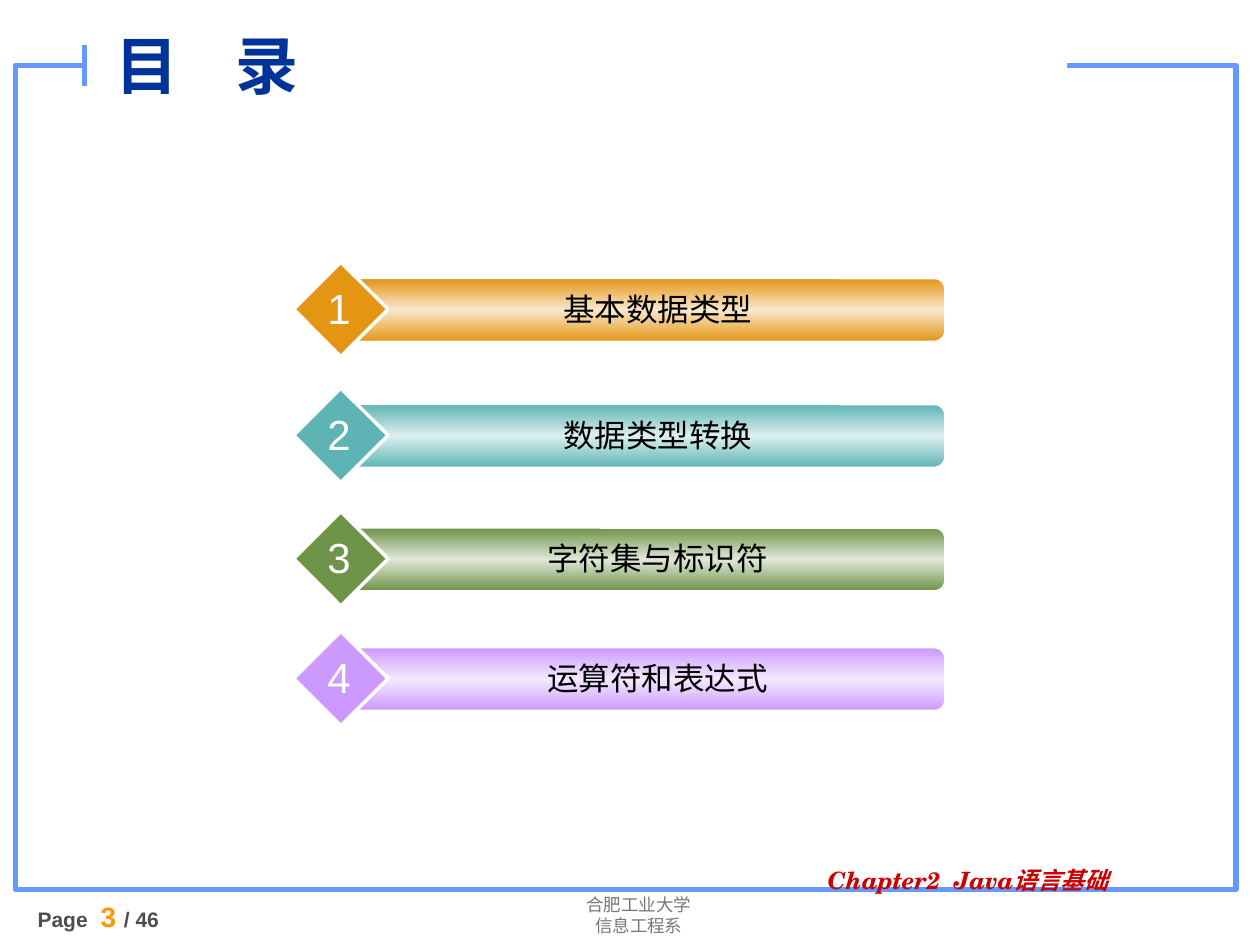
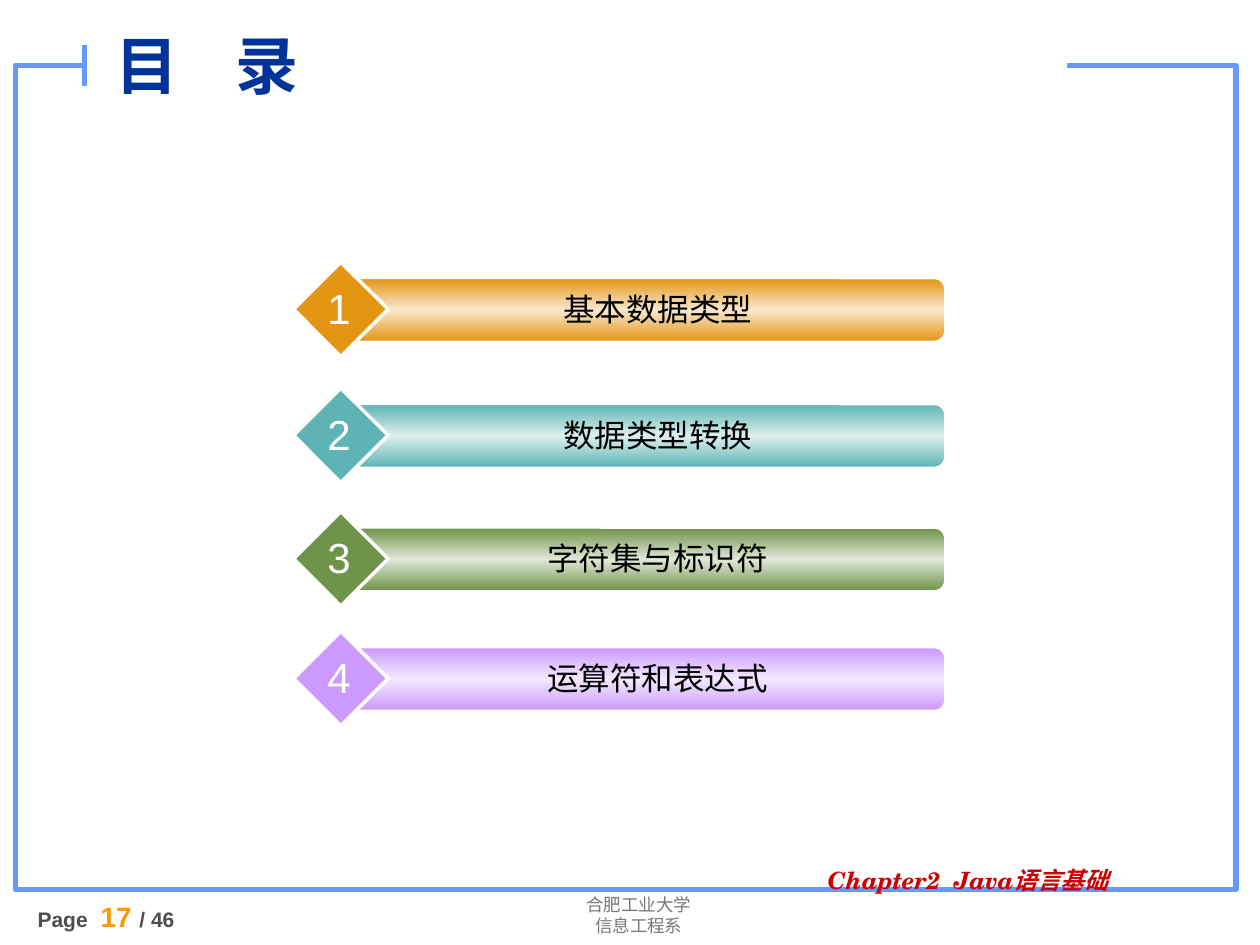
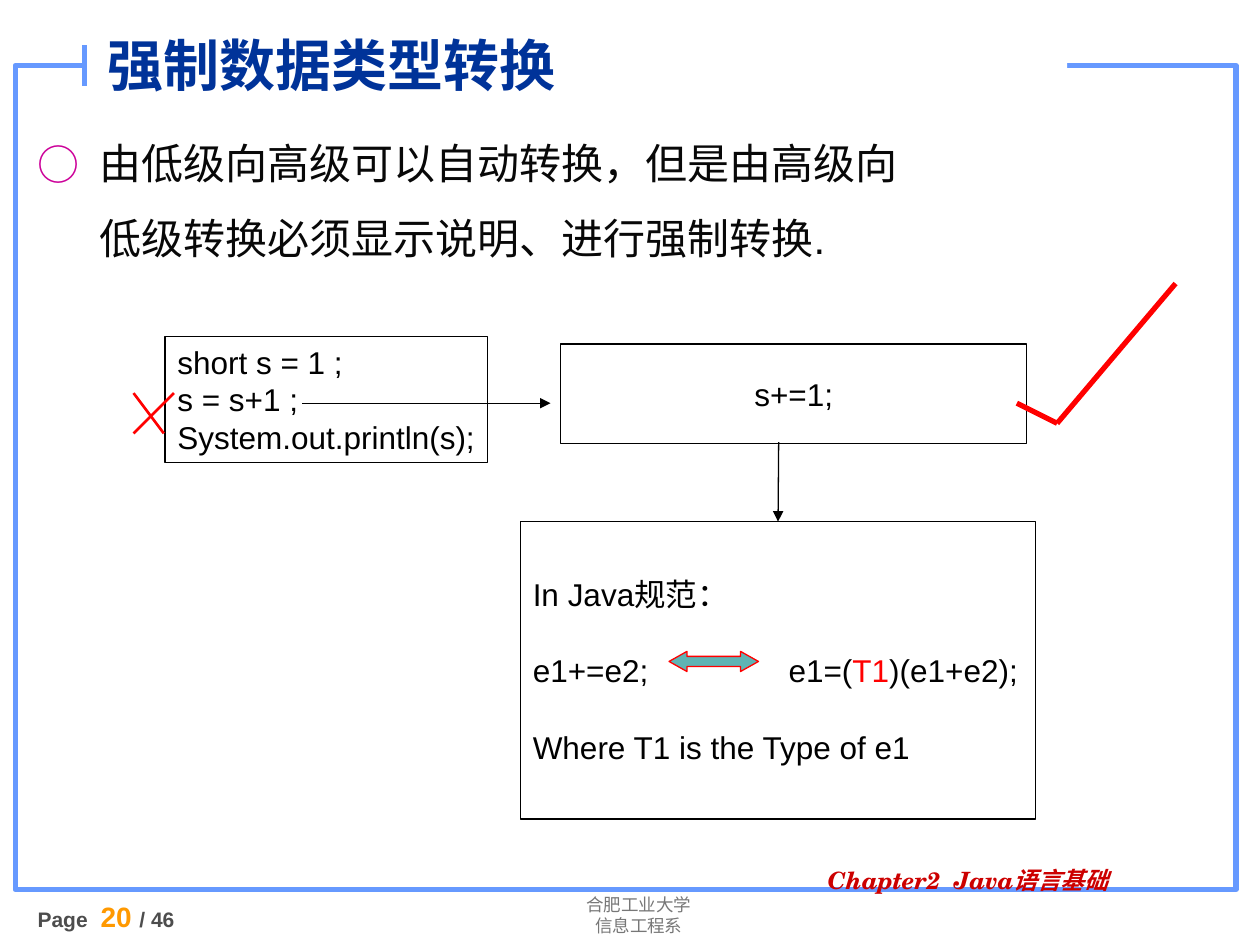
"""Builds three slides of a Java lecture: two agendas and one on type casting."""
from copy import deepcopy

from lxml.etree import SubElement
from pptx import Presentation
from pptx.dml.color import RGBColor
from pptx.enum.shapes import MSO_CONNECTOR, MSO_SHAPE as SHAPE
from pptx.enum.text import MSO_ANCHOR as ANCHOR, MSO_AUTO_SIZE, PP_ALIGN as ALIGN
from pptx.oxml.ns import qn
from pptx.util import Inches, Pt

BLUE = RGBColor(0x66, 0x99, 0xFF)
NAVY = RGBColor(0x00, 0x33, 0x99)
WHITE = RGBColor(0xFF, 0xFF, 0xFF)
BLACK = RGBColor(0x00, 0x00, 0x00)
INK = RGBColor(0x08, 0x08, 0x08)
GRAY = RGBColor(0x77, 0x77, 0x77)
DARK_GRAY = RGBColor(0x4D, 0x4D, 0x4D)
ORANGE = RGBColor(0xFF, 0x99, 0x00)
CRIMSON = RGBColor(0xCC, 0x00, 0x00)
MAGENTA = RGBColor(0xCC, 0x00, 0x99)
RED = RGBColor(0xFF, 0x00, 0x00)
AMBER = RGBColor(0xE4, 0x95, 0x14)
TEAL = RGBColor(0x5E, 0xB4, 0xB4)
GREEN = RGBColor(0x6E, 0x93, 0x49)
LILAC = RGBColor(0xCC, 0x99, 0xFF)

FONT, CJK_FONT = "Arial", "Noto Sans CJK SC"
COLUMNS = 100
TOTAL_PAGES = 46
TITLE_ONLY, TITLE_AND_BODY = 5, 1
AGENDA = [
    ("基本数据类型", AMBER, 20.8),
    ("数据类型转换", TEAL, 30.8),
    ("字符集与标识符", GREEN, 40.6),
    ("运算符和表达式", LILAC, 50.1),
]


def tint(color):
    return RGBColor(*(int(c + (255 - c) * 0.79) for c in color))


class Deck:
    """Holds the style and the current slide; lengths are cells of a 100 by 75 grid."""

    def __init__(self):
        self.prs = Presentation()
        self.prs.slide_width, self.prs.slide_height = Inches(10), Inches(7.5)
        self.cell = self.prs.slide_width / COLUMNS

    def grid(self, *cells):
        return [round(c * self.cell) for c in cells]

    def new_slide(self, layout, page, title, size, left, width, tab=None):
        self.s = self.prs.slides.add_slide(self.prs.slide_layouts[layout])
        self.frame()
        self.footer(page)
        sp = self.s.shapes.title
        self.s.shapes._spTree.append(sp._element)
        self.place(sp, left, 1.1, width, 8)
        sp.text_frame.vertical_anchor = ANCHOR.MIDDLE
        self.fill_text(sp.text_frame, [title], size, NAVY, bold=True, tab=tab)

    def place(self, sp, *at):
        sp.left, sp.top, sp.width, sp.height = self.grid(*at)
        sp.text_frame.auto_size = MSO_AUTO_SIZE.NONE

    def frame(self):
        self.shape(SHAPE.RECTANGLE, 1.2, 5.2, 96.9, 65.4, line=BLUE, weight=3)
        self.shape(SHAPE.RECTANGLE, 6.7, 2.8, 78, 3.5, fill=WHITE)
        self.line(6.7, 3.6, 6.7, 6.8, BLUE, 3)

    def footer(self, page):
        self.text(38, 70.5, 25.4, 4.4, ["合肥工业大学", "信息工程系"], 10, GRAY,
                  align=ALIGN.CENTER, font="Roboto")
        number = [("Page\t", {}), (f"{page} ", {"size": 16, "color": ORANGE}),
                  (f"/ {TOTAL_PAGES}", {})]
        self.text(2, 70.9, 18.1, 6.7, [number], 12, DARK_GRAY, bold=True, tab=5)
        self.text(64.7, 68.5, 30.7, 3.5, ["Chapter2\tJava语言基础"], 13.6, CRIMSON,
                  bold=True, italic=True, font="TeX Gyre Schola", tab=10, spacing=0.9)

    def fill_text(self, tf, paragraphs, size, color, align=ALIGN.LEFT, tab=None,
                  spacing=None, gap=0, bullet=None, **style):
        for i, runs in enumerate(paragraphs):
            p = tf.paragraphs[0] if i == 0 else tf.add_paragraph()
            if bullet:
                self.bullet(p, bullet)
            if tab:
                tabs = SubElement(p._p.get_or_add_pPr(), qn("a:tabLst"))
                SubElement(tabs, qn("a:tab"), pos=str(self.grid(tab)[0]), algn="l")
            p.alignment, p.line_spacing = align, spacing
            p.space_before = Pt(gap if i else 0)
            for text, change in [(runs, {})] if isinstance(runs, str) else runs:
                look = {"size": size, "color": color, **style, **change}
                for n, part in enumerate(text.split("\n")):
                    if n:
                        p.add_line_break()
                    self.run(p, part, **look)

    def run(self, p, text, size, color, font=FONT, bold=False, italic=False):
        r = p.add_run()
        r.text = text
        r.font.size, r.font.name = Pt(size), font
        r.font.bold, r.font.italic = bold, italic
        r.font.color.rgb = color
        SubElement(r._r.get_or_add_rPr(), qn("a:ea"), typeface=CJK_FONT)

    def bullet(self, p, char):
        indent = self.grid(4.9)[0]
        pPr = p._p.get_or_add_pPr()
        pPr.set("marL", str(indent))
        pPr.set("indent", str(-indent))
        SubElement(SubElement(pPr, qn("a:buClr")), qn("a:srgbClr"), val=str(MAGENTA))
        SubElement(pPr, qn("a:buFont"), typeface=CJK_FONT)
        SubElement(pPr, qn("a:buChar"), char=char)

    def body(self, x, y, w, h, paragraphs, size):
        sp = self.s.placeholders[1]
        self.place(sp, x, y, w, h)
        self.fill_text(sp.text_frame, paragraphs, size, INK, spacing=1.5, bullet="○")

    def text(self, x, y, w, h, paragraphs, size, color, wrap=True, **style):
        sp = self.s.shapes.add_textbox(*self.grid(x, y, w, h))
        sp.text_frame.word_wrap = wrap
        self.fill_text(sp.text_frame, paragraphs, size, color, **style)
        return sp

    def shape(self, kind, x, y, w, h, fill=None, line=None, weight=0.75):
        sp = self.s.shapes.add_shape(kind, *self.grid(x, y, w, h))
        sp.shadow.inherit = False
        if fill is None:
            sp.fill.background()
        else:
            sp.fill.solid()
            sp.fill.fore_color.rgb = fill
        if line is None:
            sp.line.fill.background()
        else:
            sp.line.color.rgb, sp.line.width = line, Pt(weight)
        return sp

    def box(self, x, y, w, h, paragraphs, anchor=ANCHOR.MIDDLE, wrap=True, **style):
        sp = self.shape(SHAPE.RECTANGLE, x, y, w, h, line=BLACK)
        sp.text_frame.vertical_anchor, sp.text_frame.word_wrap = anchor, wrap
        self.fill_text(sp.text_frame, paragraphs, 18, BLACK, **style)
        return sp

    def line(self, x1, y1, x2, y2, color, weight, arrow=False):
        cn = self.s.shapes.add_connector(MSO_CONNECTOR.STRAIGHT,
                                         *self.grid(x1, y1, x2, y2))
        cn.line.color.rgb, cn.line.width = color, Pt(weight)
        if arrow:
            SubElement(cn.line._get_or_add_ln(), qn("a:tailEnd"), type="triangle")
        SubElement(cn._element.spPr, qn("a:effectLst"))
        return cn

    def glossy_bar(self, x, y, w, h, color):
        sp = self.shape(SHAPE.ROUNDED_RECTANGLE, x, y, w, h, line=WHITE, weight=1)
        sp.fill.gradient()
        sp.fill.gradient_angle = 90
        stops = sp._element.spPr.find(".//" + qn("a:gsLst"))
        stops.append(deepcopy(stops[0]))
        shades = [(0, color), (0.5, tint(color)), (1, color)]
        for stop, (position, shade) in zip(sp.fill.gradient_stops, shades):
            stop.position, stop.color.rgb = position, shade
        return sp

    def agenda_item(self, number, label, color, top):
        self.s.shapes.add_group_shape([
            self.glossy_bar(27.5, top + 1.3, 47.5, 5, color),
            self.shape(SHAPE.DIAMOND, 23.3, top, 7.5, 7.5, color, WHITE, 2),
            self.text(30, top + 1.7, 44.4, 4, [label], 18, BLACK, align=ALIGN.CENTER),
            self.text(25, top + 1.1, 3.8, 5, [str(number)], 24, WHITE, wrap=False,
                      align=ALIGN.CENTER),
        ])


def agenda_slide(deck, page):
    deck.new_slide(TITLE_ONLY, page, "目\t录", 36, 8.2, 44.9, tab=9.5)
    for number, (label, color, top) in enumerate(AGENDA, 1):
        deck.agenda_item(number, label, color, top)


def casting_slide(deck, page):
    deck.new_slide(TITLE_AND_BODY, page, "强制数据类型转换", 32, 7.5, 67.7)
    deck.body(2, 8.4, 95.3, 15, [
        "由低级向高级可以自动转换，但是由高级向\n低级转换必须显示说明、进行强制转换."], 24)

    deck.box(13.1, 26.7, 25.6, 10,
             ["short s = 1 ;", "s = s+1 ;", "System.out.println(s);"],
             anchor=ANCHOR.TOP, wrap=False)
    deck.line(13.8, 31.2, 10.6, 34.4, RED, 1.5)
    deck.line(10.6, 31.2, 13, 34.4, RED, 1.5)

    deck.line(24, 32, 43.7, 32, BLACK, 0.75, arrow=True)
    deck.box(44.5, 27.3, 37, 7.9, ["s+=1;"], align=ALIGN.CENTER)
    deck.line(80.7, 32, 83.9, 33.6, RED, 3)
    deck.line(83.9, 33.6, 93.3, 22.5, RED, 3)

    cast = [("e1+=e2;\te1=(", {}), ("T1", {"color": RED}), (")(e1+e2);", {})]
    rule = deck.box(41.3, 41.4, 40.9, 23.6,
                    ["In Java规范：", cast, "Where T1 is the Type of e1"],
                    tab=20.3, gap=22)
    deck.line(61.8, 35.1, 61.8, 41.4, BLACK, 0.75, arrow=True).end_connect(rule, 0)
    arrow = deck.shape(SHAPE.LEFT_RIGHT_ARROW, 53.1, 51.7, 7.1, 1.6, TEAL, RED)
    arrow.adjustments[1] = 0.89


def main():
    deck = Deck()
    agenda_slide(deck, 3)
    agenda_slide(deck, 17)
    casting_slide(deck, 20)
    deck.prs.save("out.pptx")


if __name__ == "__main__":
    main()
